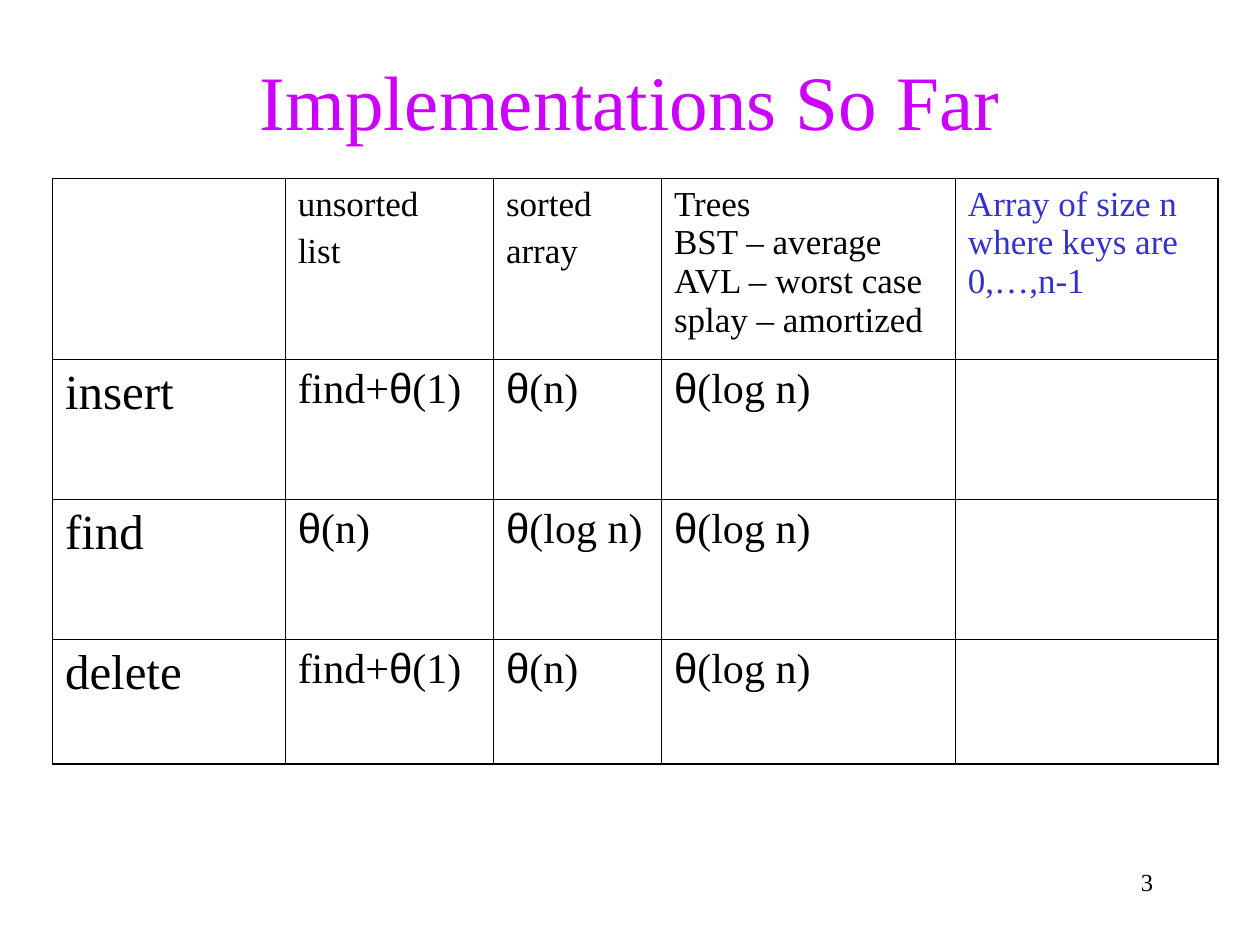
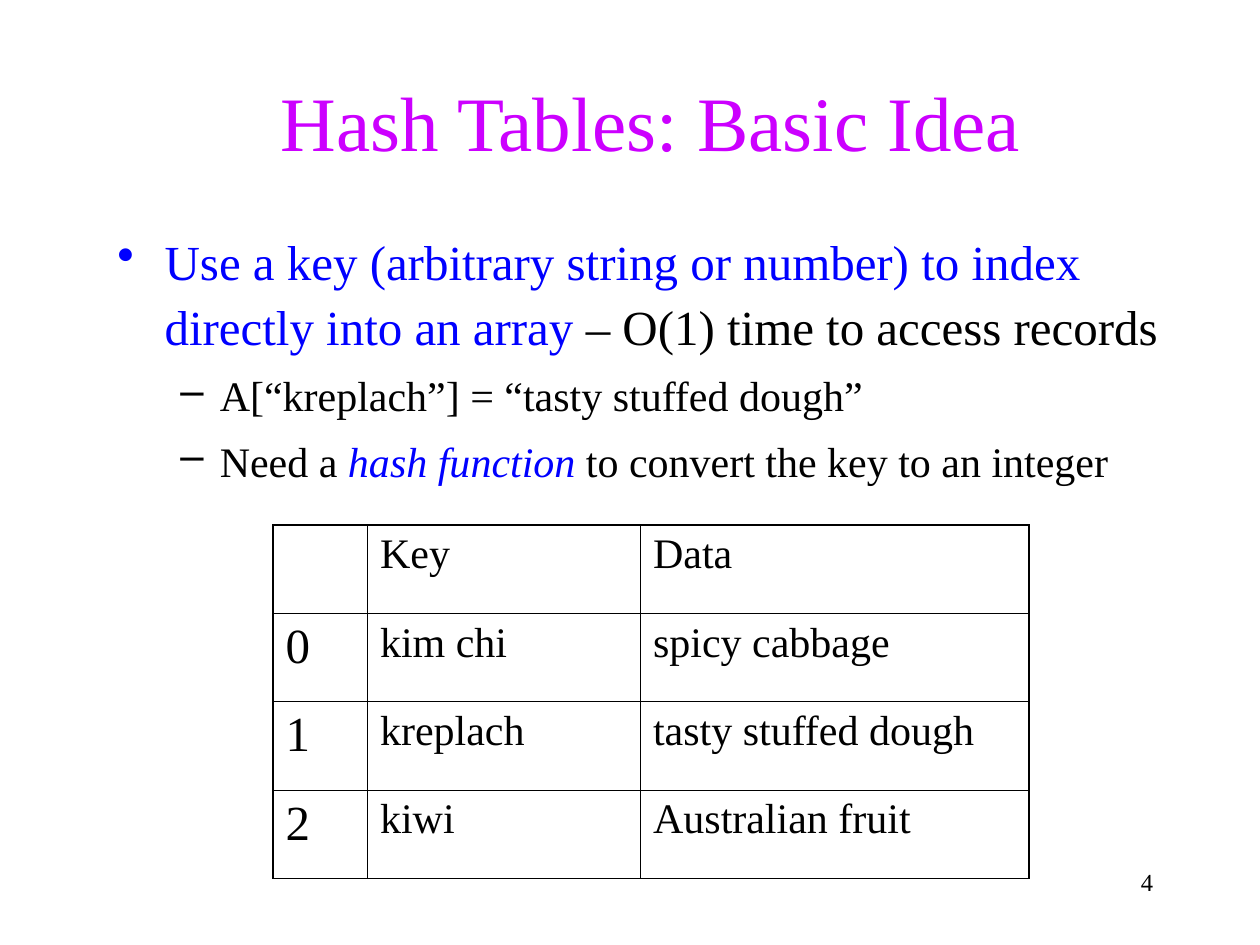
from pptx import Presentation
from pptx.dml.color import RGBColor
from pptx.enum.text import MSO_ANCHOR, PP_ALIGN
from pptx.oxml import parse_xml
from pptx.oxml.ns import nsdecls
from pptx.util import Pt

MIDDLE, TOP = MSO_ANCHOR.MIDDLE, MSO_ANCHOR.TOP
LEFT, CENTER, RIGHT = PP_ALIGN.LEFT, PP_ALIGN.CENTER, PP_ALIGN.RIGHT
SERIF, SANS = "Times New Roman", "Arial"
BLACK, BLUE, INDIGO, MAGENTA = "000000", "0000FF", "3333CC", "CC00FF"
OUTER, INNER = 1.08, 0.45
BODY_SPACING = 1.09
LEVELS = [
    {"size": 28, "bullet": "•", "left": 27, "hang": 27},
    {"size": 24, "bullet": "–", "left": 58.5, "hang": 22.5},
]

SLIDES = [
    {
        "number": 3,
        "title": ("Implementations So Far", 54, 12),
        "bullets": [],
        "table": {
            "at": (30, 102),
            "cols": [133, 119, 96, 168, 150],
            "rows": [103.5, 80, 80, 71],
            "head_size": 20,
            "head_colors": {4: INDIGO},
            "cells": [
                [[], ["unsorted", "list"], ["sorted", "array"],
                 ["Trees\nBST – average\nAVL – worst case\nsplay – amortized"],
                 ["Array of size n where keys are 0,…,n-1"]],
                [["insert"], ["find+θ(1)"], ["θ(n)"], ["θ(log n)"], []],
                [["find"], ["θ(n)"], ["θ(log n)"], ["θ(log n)"], []],
                [["delete"], ["find+θ(1)"], ["θ(n)"], ["θ(log n)"], []],
            ],
        },
    },
    {
        "number": 4,
        "title": ("Hash Tables: Basic Idea", 66, 24),
        "bullets": [
            (0, [("Use a key (arbitrary string or number) to index directly into an array", {"color": BLUE}),
                 (" – O(1) time to access records", {})]),
            (1, [("A[“kreplach”] = “tasty stuffed dough”", {})]),
            (1, [("Need a ", {}),
                 ("hash function", {"color": BLUE, "italic": True}),
                 (" to convert the key to an integer", {})]),
        ],
        "table": {
            "at": (156, 300),
            "cols": [54, 156, 222],
            "rows": [50.5] * 4,
            "head_size": 24,
            "head_colors": {},
            "cells": [
                [[], ["Key"], ["Data"]],
                [["0"], ["kim chi"], ["spicy cabbage"]],
                [["1"], ["kreplach"], ["tasty stuffed dough"]],
                [["2"], ["kiwi"], ["Australian fruit"]],
            ],
        },
    },
]


def rgb(value):
    """Turn a hex string into a colour."""
    return RGBColor.from_string(value)


def add_run(p, text, size, color=BLACK, name=SERIF, italic=False):
    """Append one formatted run to a paragraph."""
    r = p.add_run()
    r.text = text
    for key, value in {"size": Pt(size), "name": name, "italic": italic}.items():
        setattr(r.font, key, value)
    r.font.color.rgb = rgb(color)


def add_box(s, box, anchor=TOP):
    """Add a wrapping text box and return its text frame."""
    tf = s.shapes.add_textbox(*map(Pt, box)).text_frame
    tf.word_wrap = True
    tf.vertical_anchor = anchor
    return tf


def add_line(s, box, text, size, color, align, anchor=TOP):
    """Add a text box that holds a single line."""
    p = add_box(s, box, anchor).paragraphs[0]
    p.alignment = align
    add_run(p, text, size, color)


def next_paragraph(tf, i, size):
    """Return paragraph i, with a quarter of its size as space before later ones."""
    p = tf.add_paragraph() if i else tf.paragraphs[0]
    p.space_before = Pt(size / 4 if i else 0)
    return p


def add_bullets(s, bullets):
    """Add the bulleted body text."""
    tf = add_box(s, (60, 126, 612, 324))
    for i, (depth, runs) in enumerate(bullets):
        level = LEVELS[depth]
        p = next_paragraph(tf, i, level["size"])
        p.line_spacing = BODY_SPACING
        pPr = p._p.get_or_add_pPr()
        pPr.set("marL", str(Pt(level["left"])))
        pPr.set("indent", str(-Pt(level["hang"])))
        color = runs[0][1].get("color", BLACK)
        pPr.append(parse_xml(f'<a:buClr {nsdecls("a")}><a:srgbClr val="{color}"/></a:buClr>'))
        pPr.append(parse_xml(f'<a:buChar {nsdecls("a")} char="{level["bullet"]}"/>'))
        for text, style in runs:
            add_run(p, text, level["size"], **style)


def set_borders(cell, widths):
    """Draw the four borders of a cell."""
    tcPr = cell._tc.get_or_add_tcPr()
    for i, (side, width) in enumerate(widths.items()):
        tcPr.insert(i, parse_xml(
            f'<a:ln{side} {nsdecls("a")} w="{Pt(width)}"><a:solidFill>'
            f'<a:srgbClr val="{BLACK}"/></a:solidFill></a:ln{side}>'))


def fill_cell(cell, paragraphs, size, color):
    """Write a cell's paragraphs, with theta in the sans font."""
    for i, text in enumerate(paragraphs):
        p = next_paragraph(cell.text_frame, i, size)
        p.alignment = LEFT
        for j, line in enumerate(text.split("\n")):
            if j:
                p.add_line_break()
            for part in filter(None, line.partition("θ")):
                add_run(p, part, size, color, SANS if part == "θ" else SERIF)


def add_grid(s, spec):
    """Add a plain table with heavier outer borders."""
    cols, rows = spec["cols"], spec["rows"]
    box = (*spec["at"], sum(cols), sum(rows))
    table = s.shapes.add_table(len(rows), len(cols), *map(Pt, box)).table
    table.first_row = table.horz_banding = False
    for col, width in zip(table.columns, cols):
        col.width = Pt(width)
    for y, height in enumerate(rows):
        table.rows[y].height = Pt(height)
        for x, paragraphs in enumerate(spec["cells"][y]):
            cell = table.cell(y, x)
            cell.fill.background()
            edges = {"L": x == 0, "R": x == len(cols) - 1, "T": y == 0, "B": y == len(rows) - 1}
            set_borders(cell, {side: OUTER if edge else INNER for side, edge in edges.items()})
            size = spec["head_size"] if y == 0 else 28 if x == 0 else 24
            color = spec["head_colors"].get(x, BLACK) if y == 0 else BLACK
            fill_cell(cell, paragraphs, size, color)


def main():
    """Build and save the presentation."""
    prs = Presentation()
    prs.slide_width, prs.slide_height = Pt(720), Pt(540)
    for content in SLIDES:
        s = prs.slides.add_slide(prs.slide_layouts[6])
        title, left, top = content["title"]
        add_line(s, (516, 492, 150, 36), str(content["number"]), 14, BLACK, RIGHT)
        add_line(s, (left, top, 612, 90), title, 44, MAGENTA, CENTER, MIDDLE)
        if content["bullets"]:
            add_bullets(s, content["bullets"])
        add_grid(s, content["table"])
    prs.save("out.pptx")


if __name__ == "__main__":
    main()
